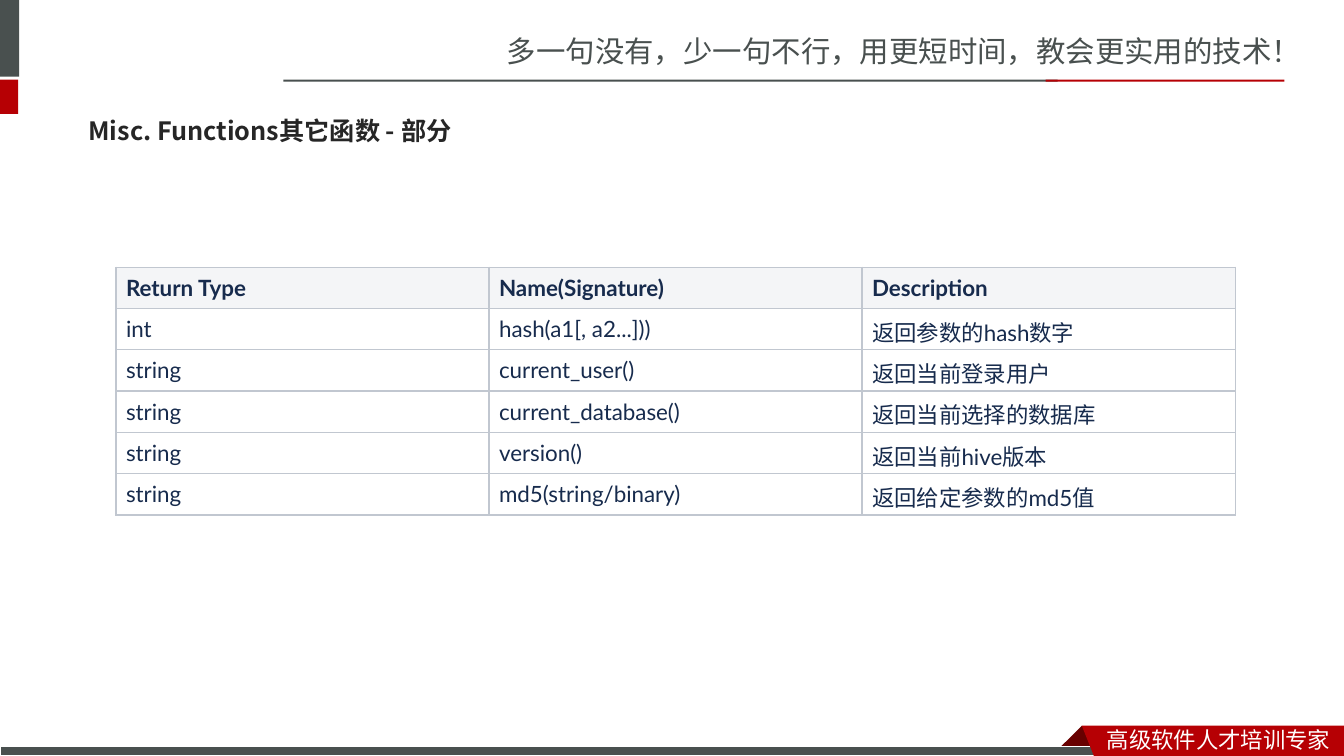
from pptx import Presentation
from pptx.dml.color import RGBColor
from pptx.enum.shapes import MSO_SHAPE
from pptx.enum.text import MSO_ANCHOR
from pptx.oxml import parse_xml
from pptx.oxml.ns import nsdecls, qn
from pptx.util import Inches, Pt

RECTANGLE = MSO_SHAPE.RECTANGLE
MIDDLE, TOP = MSO_ANCHOR.MIDDLE, MSO_ANCHOR.TOP

SLOGAN = "多一句没有，少一句不行，用更短时间，教会更实用的技术！"
TITLE = "Misc. Functions其它函数 - 部分"
TAGLINE = "高级软件人才培训专家"
FUNCTIONS = [
    ("Return Type", "Name(Signature)", "Description"),
    ("int", "hash(a1[, a2...]))", "返回参数的hash数字"),
    ("string", "current_user()", "返回当前登录用户"),
    ("string", "current_database()", "返回当前选择的数据库"),
    ("string", "version()", "返回当前hive版本"),
    ("string", "md5(string/binary)", "返回给定参数的md5值"),
]

THEME = {
    "gray": "49504F", "red": "B60004", "dark_red": "680000", "white": "FFFFFF",
    "title": "262626", "cell": "172B4D", "header": "F4F5F7", "border": "C1C7D0",
    "chinese": "Noto Sans CJK SC", "title_font": "Noto Sans CJK JP", "latin": "Lato",
    "slogan_size": 21, "title_size": 18, "body_size": 16,
}

HEADER_BARS = [
    ((0, 0, 0.19, 0.76), "gray"),
    ((0, 0.79, 0.18, 0.34), "red"),
    ((2.81, 0.79, 7.68, 0.02), "gray"),
    ((10.37, 0.79, 2.37, 0.02), "red"),
]
FOOTER_BAR = (0, 7.41, 10.99, 0.09)
FOLD = [(10.73, 7.2), (10.95, 7.42), (10.94, 7.43), (10.52, 7.43), (10.51, 7.42)]
RIBBON = [(10.73, 7.2), (13.33, 7.2), (13.33, 7.5), (10.85, 7.5)]
SLOGAN_BOX = (4.93, 0.28, 8.4, 0.45)
TAGLINE_BOX = (10.88, 7.15, 2.45, 0.35)
TITLE_BOX = (0.78, 1.03, 11.7, 0.57)
TABLE_LEFT, TABLE_TOP, COLUMN_WIDTH, ROW_HEIGHT = 1.15, 2.65, 3.7, 0.41


def color(name):
    return RGBColor.from_string(THEME[name])


def inches(box):
    return [Inches(value) for value in box]


def paint(shape, fill):
    shape.shadow.inherit = False
    shape.fill.solid()
    shape.fill.fore_color.rgb = color(fill)
    shape.line.fill.background()
    return shape


def add_bar(slide, box, fill):
    return paint(slide.shapes.add_shape(RECTANGLE, *inches(box)), fill)


def add_outline(slide, points, fill):
    corners = [inches(point) for point in points]
    builder = slide.shapes.build_freeform(*corners[0])
    builder.add_line_segments(corners[1:], close=True)
    paint(builder.convert_to_shape(), fill)


def style(paragraph, size, ink, latin, chinese, bold=False):
    font = paragraph.font
    font.size, font.bold, font.name = Pt(THEME[size]), bold, THEME[latin]
    font.color.rgb = color(ink)
    east_asian = parse_xml(f'<a:ea {nsdecls("a")} typeface="{THEME[chinese]}"/>')
    font._element.find(qn("a:latin")).addnext(east_asian)


def add_label(slide, box, text, size, ink, face, bold=False, anchor=TOP):
    frame = slide.shapes.add_textbox(*inches(box)).text_frame
    frame.word_wrap = True
    frame.vertical_anchor = anchor
    paragraph = frame.paragraphs[0]
    paragraph.text = text
    style(paragraph, size, ink, face, face, bold)
    return paragraph


def add_borders(cell):
    properties = cell._tc.get_or_add_tcPr()
    for index, side in enumerate(("lnL", "lnR", "lnT", "lnB")):
        properties.insert(index, parse_xml(
            f'<a:{side} {nsdecls("a")} w="{Pt(1)}"><a:solidFill>'
            f'<a:srgbClr val="{THEME["border"]}"/></a:solidFill></a:{side}>'))


def add_function_table(slide):
    rows, columns = len(FUNCTIONS), len(FUNCTIONS[0])
    box = (TABLE_LEFT, TABLE_TOP, COLUMN_WIDTH * columns, ROW_HEIGHT * rows)
    table = slide.shapes.add_table(rows, columns, *inches(box)).table
    for row, entries in enumerate(FUNCTIONS):
        for column, entry in enumerate(entries):
            cell = table.cell(row, column)
            cell.text = entry
            cell.margin_left = cell.margin_right = Inches(0.1)
            cell.margin_top = cell.margin_bottom = Inches(0.07)
            cell.fill.solid()
            cell.fill.fore_color.rgb = color("white" if row else "header")
            add_borders(cell)
            style(cell.text_frame.paragraphs[0], "body_size", "cell",
                  "latin", "chinese", row == 0)


def main():
    deck = Presentation()
    deck.slide_width, deck.slide_height = Inches(13.33), Inches(7.5)
    slide = deck.slides.add_slide(deck.slide_layouts[6])

    add_label(slide, SLOGAN_BOX, SLOGAN, "slogan_size", "gray", "chinese")
    for box, fill in HEADER_BARS:
        add_bar(slide, box, fill)

    add_outline(slide, FOLD, "dark_red")
    footer = add_bar(slide, FOOTER_BAR, "gray")
    footer.line.color.rgb = color("white")
    footer.line.width = Pt(0.75)
    add_outline(slide, RIBBON, "red")
    add_label(slide, TAGLINE_BOX, TAGLINE, "body_size", "white", "chinese")

    title = add_label(slide, TITLE_BOX, TITLE, "title_size", "title", "title_font",
                      bold=True, anchor=MIDDLE)
    title.line_spacing = 0.9
    add_function_table(slide)
    deck.save("out.pptx")


if __name__ == "__main__":
    main()
